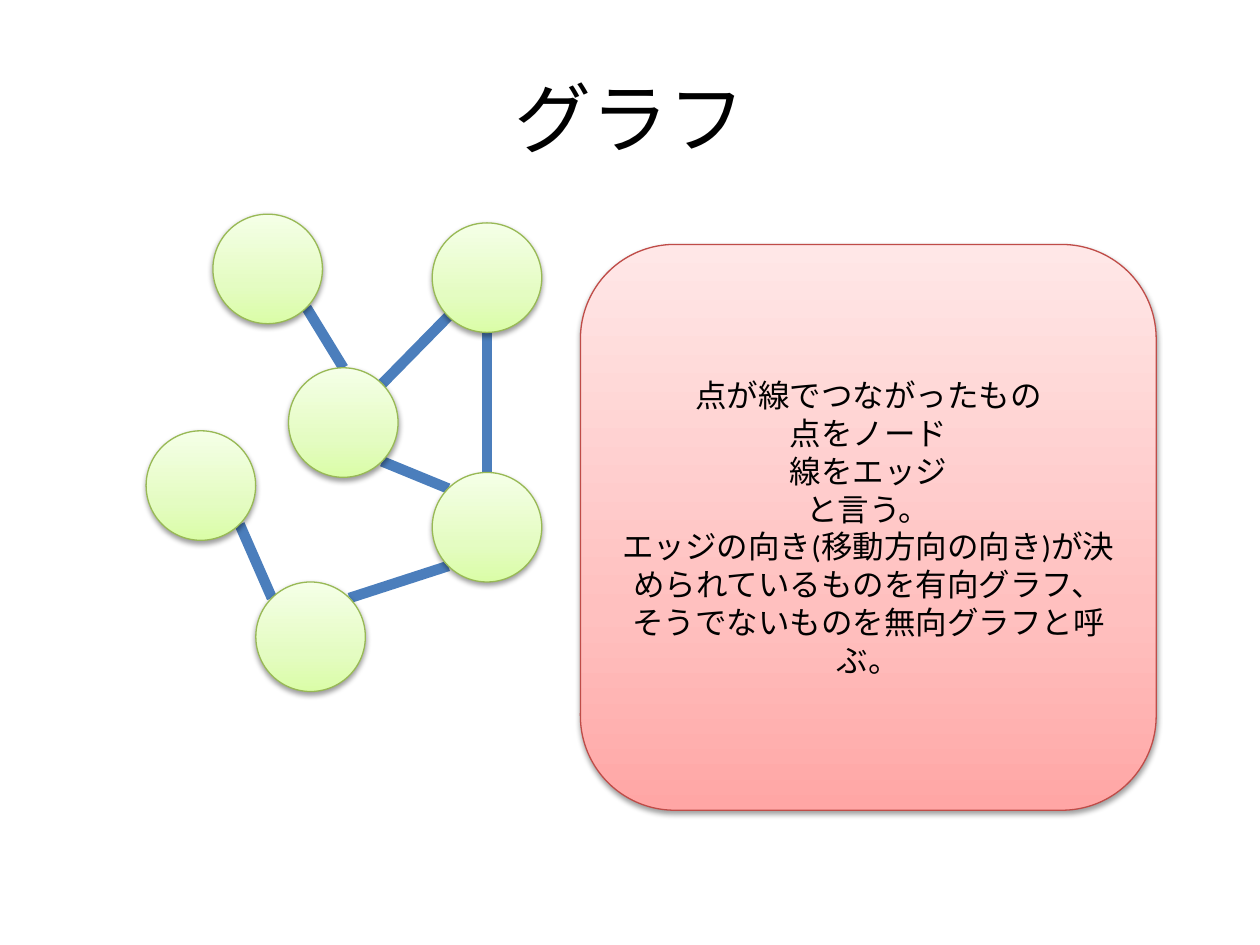
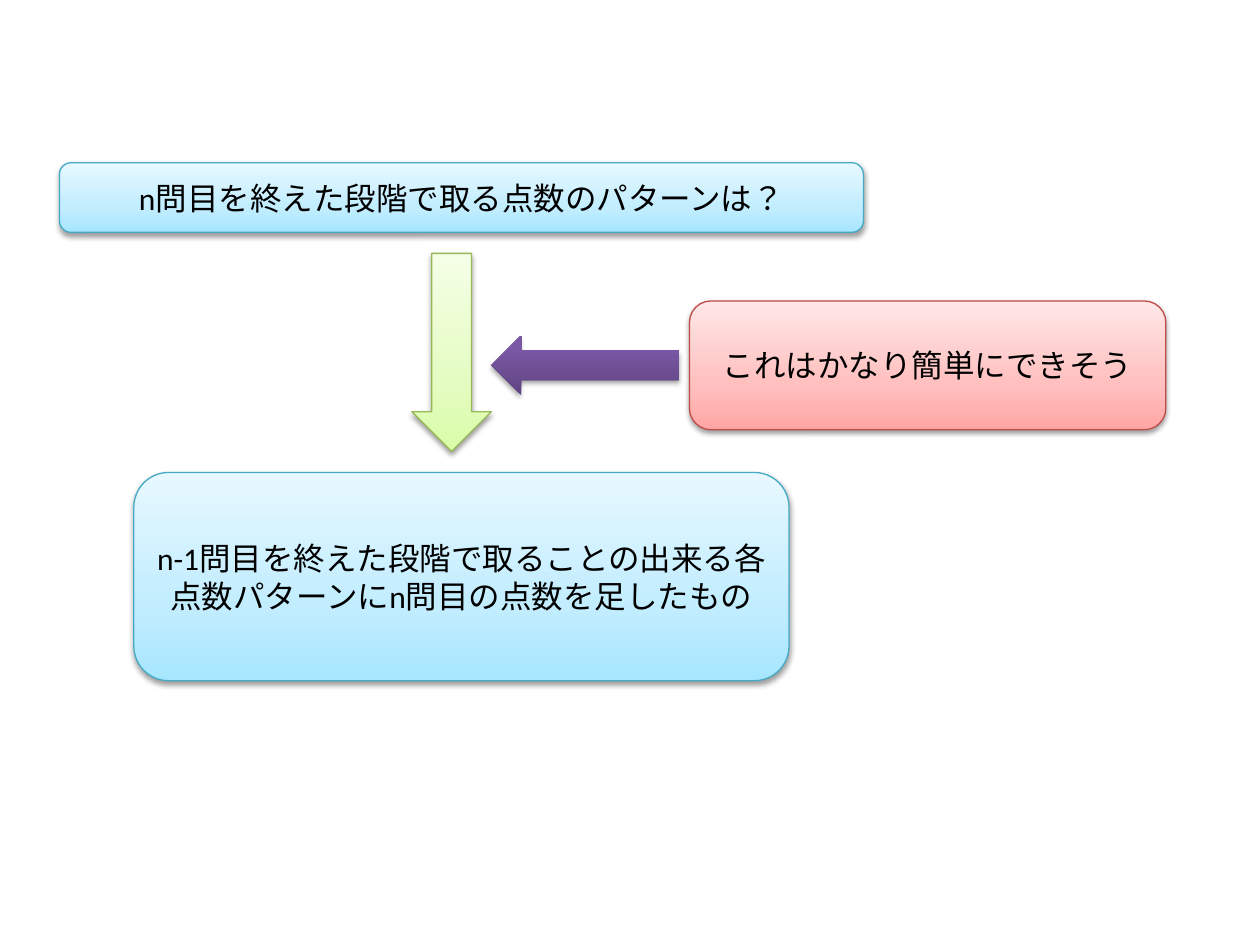
from collections import namedtuple
from math import cos, radians, sin

from pptx import Presentation
from pptx.dml.color import RGBColor
from pptx.enum import lang, shapes, text
from pptx.oxml import parse_xml
from pptx.oxml import ns
from pptx.util import Pt

Box = namedtuple("Box", "left top width height")
Theme = namedtuple("Theme", "stops line shadow")  # stops run from bottom to top

BLACK = RGBColor(0, 0, 0)
EDGE_BLUE = RGBColor(0x4B, 0x7E, 0xBC)
FONT = "Calibri"
SOFT_SHADOW = (38, 1.6)  # opacity in percent, distance in points


def pale(bottom, middle, top, line):
    stops = [(0, bottom), (35, middle), (100, top)]
    return Theme([(place, RGBColor.from_string(tone)) for place, tone in stops],
                 RGBColor.from_string(line), SOFT_SHADOW)


GREEN = pale("DAFDA7", "E4FCC2", "F5FFE7", "98B955")
RED = pale("FFA6A5", "FFC0BF", "FFE7E7", "BF4C48")
BLUE = pale("A7E6FF", "C1EDFF", "E7F8FF", "46AAC5")
PURPLE = Theme([(0, RGBColor(0x5F, 0x44, 0x80)), (80, RGBColor(0x7B, 0x58, 0xA6)),
                (100, RGBColor(0x7C, 0x57, 0xA8))], None, (35, 1.8))

SHAPE = shapes.MSO_SHAPE


# Shared styling
def write(frame, words, size):
    frame.text = words
    frame.word_wrap = True
    frame.vertical_anchor = text.MSO_ANCHOR.MIDDLE
    for para in frame.paragraphs:
        para.alignment = text.PP_ALIGN.CENTER
        for span in para.runs:
            span.font.name = FONT
            span.font.size = Pt(size)
            span.font.color.rgb = BLACK
            span.font.language_id = lang.MSO_LANGUAGE_ID.JAPANESE


def fill_gradient(shape, stops):
    shape.fill.gradient()
    shape.fill.gradient_angle = 90
    stop_list = shape._element.spPr.find(ns.qn("a:gradFill")).find(ns.qn("a:gsLst"))
    for stop in list(stop_list):
        stop_list.remove(stop)
    for place, tone in stops:
        stop_list.append(parse_xml(
            f'<a:gs {ns.nsdecls("a")} pos="{place * 1000}"><a:srgbClr val="{tone}"/></a:gs>'))


def add_shadow(shape, opacity, distance):
    shape.shadow.inherit = False
    effects = shape._element.spPr.find(ns.qn("a:effectLst"))
    effects.append(parse_xml(
        f'<a:outerShdw {ns.nsdecls("a")} blurRad="{Pt(3.1)}" dist="{Pt(distance)}" '
        f'dir="5400000" rotWithShape="0"><a:srgbClr val="{BLACK}">'
        f'<a:alpha val="{opacity * 1000}"/></a:srgbClr></a:outerShdw>'))


def add_glossy(page, kind, box, theme, words=""):
    shape = page.shapes.add_shape(kind, *map(Pt, box))
    fill_gradient(shape, theme.stops)
    if theme.line is None:
        shape.line.fill.background()
    else:
        shape.line.color.rgb = theme.line
        shape.line.width = Pt(0.75)
    add_shadow(shape, *theme.shadow)
    if words:
        write(shape.text_frame, words, 18)


def set_title(page, words, box):
    title = page.shapes.title
    title.left, title.top, title.width, title.height = map(Pt, box)
    write(title.text_frame, words, 44)


# Graph of nodes and edges
NODE_SIZE = 62.6
NODES = {  # top left corner, relative to the graph
    "upper left": (38.2, 0),
    "middle": (81.4, 87.8),
    "bottom": (62.7, 210.2),
    "right": (163.5, 147.6),
    "upper right": (163.5, 5),
    "left": (0, 123.8),
}
EDGES = [  # node and angle on its rim, at either end
    ("middle", 45, "upper right", 225),
    ("middle", 315, "right", 135),
    ("upper right", 270, "right", 90),
    ("upper left", 315, "middle", 90),
    ("left", 315, "bottom", 135),
    ("bottom", 45, "right", 225),
]


def rim_point(box, node, angle):
    left, top = NODES[node]
    radius = NODE_SIZE / 2
    return (Pt(box.left + left + radius * (1 + cos(radians(angle)))),
            Pt(box.top + top + radius * (1 - sin(radians(angle)))))


def draw_graph(page, box):
    for start, start_angle, end, end_angle in EDGES:
        edge = page.shapes.add_connector(
            shapes.MSO_CONNECTOR.STRAIGHT,
            *rim_point(box, start, start_angle), *rim_point(box, end, end_angle))
        edge.line.color.rgb = EDGE_BLUE
        edge.line.width = Pt(6)
        edge._element.spPr.append(parse_xml(f'<a:effectLst {ns.nsdecls("a")}/>'))
    for left, top in NODES.values():
        node = Box(box.left + left, box.top + top, NODE_SIZE, NODE_SIZE)
        add_glossy(page, SHAPE.OVAL, node, GREEN)


def draw_definition(page, box):
    add_glossy(page, SHAPE.FLOWCHART_ALTERNATE_PROCESS, box, RED, "\n".join([
        "点が線でつながったもの",
        "点をノード",
        "線をエッジ",
        "と言う。",
        "エッジの向き(移動方向の向き)が決められているものを有向グラフ、"
        "そうでないものを無向グラフと呼ぶ。",
    ]))


# Question, arrow down to the answer, and a remark pointing at the arrow
def draw_reasoning(page, box):
    question = Box(box.left, box.top, 459.4, 39.8)
    answer = Box(box.left + 42.5, box.top + box.height - 119, 374.4, 119)
    gap = 12
    down_top = question.top + question.height + gap
    down = Box(box.left + 201.4, down_top, 45.4, answer.top - gap - down_top)
    remark = Box(box.left + box.width - 272.2, box.top + 79, 272.2, 73.6)
    down_right = down.left + down.width
    pointer_height = 34
    pointer = Box(down_right, remark.top + (remark.height - pointer_height) / 2,
                  remark.left - gap / 2 - down_right, pointer_height)

    add_glossy(page, SHAPE.ROUNDED_RECTANGLE, question, BLUE,
               "n問目を終えた段階で取る点数のパターンは？")
    add_glossy(page, SHAPE.ROUNDED_RECTANGLE, answer, BLUE,
               "n-1問目を終えた段階で取ることの出来る各点数パターンにn問目の点数を足したもの")
    add_glossy(page, SHAPE.DOWN_ARROW, down, GREEN)
    add_glossy(page, SHAPE.ROUNDED_RECTANGLE, remark, RED, "これはかなり簡単にできそう")
    add_glossy(page, SHAPE.LEFT_ARROW, pointer, PURPLE)


def main():
    deck = Presentation()
    deck.slide_width, deck.slide_height = Pt(720), Pt(540)
    title_only, blank = deck.slide_layouts[5], deck.slide_layouts[6]

    page = deck.slides.add_slide(title_only)
    set_title(page, "グラフ", Box(36, 21.6, 648, 90))
    draw_graph(page, Box(83.5, 122.4, 226.1, 272.8))
    draw_definition(page, Box(331.7, 139.7, 329, 323.3))

    page = deck.slides.add_slide(blank)
    draw_reasoning(page, Box(34, 93, 632.2, 296))

    deck.save("out.pptx")


if __name__ == "__main__":
    main()
